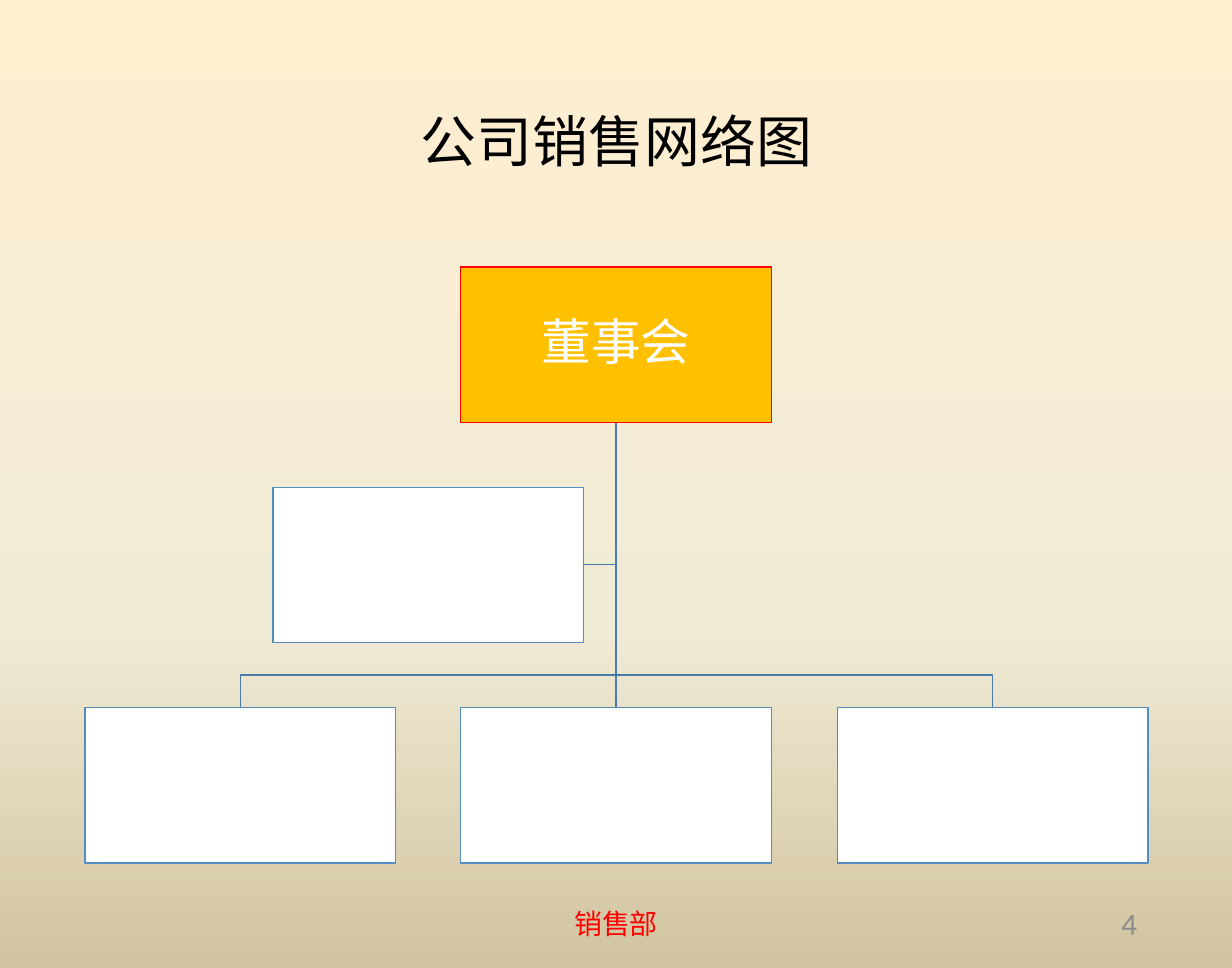
from copy import deepcopy

from lxml import etree
from pptx import Presentation
from pptx.dml.color import RGBColor
from pptx.enum import shapes, text
from pptx.oxml.ns import qn
from pptx.util import Pt

PX = 9144  # 100 px to the inch
CJK = "Noto Sans CJK SC"
BOX_W, BOX_H = 278, 139
LEFT = 76
WHITE, RED = "FFFFFF", "FF0000"


def px(n):
    return n * PX


def rgb(value):
    return RGBColor.from_string(value)


class ChartSlide:
    """The current slide and the style of the organisation chart on it."""

    box_line = "538DC1"
    link_line = "497CAB"
    width = Pt(1)

    def __init__(self, prs):
        self.s = prs.slides.add_slide(prs.slide_layouts[5])

    def background(self, stops):
        """Vertical gradient; stops are (position, colour) pairs."""
        fill = self.s.background.fill
        fill.gradient()
        fill.gradient_angle = 270
        stop_list = next(self.s._element.iter(qn("a:gsLst")))
        while len(stop_list) < len(stops):
            stop_list.append(deepcopy(stop_list[-1]))
        for stop, (position, colour) in zip(fill.gradient_stops, stops):
            stop.position = position
            stop.color.rgb = rgb(colour)

    def set_text(self, sp, words, size, colour, font=CJK,
                 align=text.PP_ALIGN.CENTER, spacing=None):
        tf = sp.text_frame
        tf.text = words
        tf.word_wrap = True
        tf.auto_size = text.MSO_AUTO_SIZE.NONE
        tf.vertical_anchor = text.MSO_ANCHOR.MIDDLE
        p = tf.paragraphs[0]
        p.alignment = align
        p.line_spacing = spacing
        r = p.runs[0]
        r.font.name = font
        etree.SubElement(r.font._element, qn("a:ea"), typeface=CJK)
        r.font.size = Pt(size)
        r.font.color.rgb = rgb(colour)

    def title(self, words, x, y, w, h):
        sp = self.s.shapes.title
        sp.left, sp.top, sp.width, sp.height = map(px, (x, y, w, h))
        self.set_text(sp, words, 36, "000000", spacing=0.9)

    def label(self, words, x, y, w, h, size, colour, **style):
        sp = self.s.shapes.add_textbox(*map(px, (x, y, w, h)))
        self.set_text(sp, words, size, colour, **style)

    def box(self, x, y, fill=WHITE, line=box_line, words=None):
        sp = self.s.shapes.add_shape(
            shapes.MSO_SHAPE.RECTANGLE, *map(px, (x, y, BOX_W, BOX_H)))
        sp.shadow.inherit = False
        sp.fill.solid()
        sp.fill.fore_color.rgb = rgb(fill)
        sp.line.color.rgb = rgb(line)
        sp.line.width = self.width
        if words:
            tf = sp.text_frame
            tf.margin_left = tf.margin_right = px(2)
            tf.margin_top = tf.margin_bottom = px(2)
            self.set_text(sp, words, 32, WHITE, font="Calibri", spacing=0.9)

    def link(self, *points):
        """Straight connector for two points, open outline for more."""
        if len(points) == 2:
            (x1, y1), (x2, y2) = points
            sp = self.s.shapes.add_connector(
                shapes.MSO_CONNECTOR.STRAIGHT, *map(px, (x1, y1, x2, y2)))
            etree.SubElement(sp._element.spPr, qn("a:effectLst"))
        else:
            outline = self.s.shapes.build_freeform(*points[0], scale=PX)
            outline.add_line_segments(points[1:], close=False)
            sp = outline.convert_to_shape()
            sp.shadow.inherit = False
            sp.fill.background()
        sp.line.color.rgb = rgb(self.link_line)
        sp.line.width = self.width


def main():
    prs = Presentation()
    prs.slide_width, prs.slide_height = px(1102), px(866)
    slide = ChartSlide(prs)
    slide.background([(0, "FFEFD1"), (0.65, "F0EBD5"), (1, "D1C39F")])
    slide.title("公司销售网络图", LEFT, 46, 951, 167)

    columns = [LEFT + i * 673 // 2 for i in range(3)]
    board_y, assistant_y, branch_y = 239, 436, 633
    assistant_x = 244
    bus_y = 604
    trunk_x = columns[1] + BOX_W // 2
    start = (trunk_x, board_y + BOX_H)

    assistant_mid = assistant_y + BOX_H // 2
    slide.link(start, (trunk_x, assistant_mid),
               (assistant_x + BOX_W, assistant_mid))
    for x in columns:
        mid = x + BOX_W // 2
        bend = [] if mid == trunk_x else [(trunk_x, bus_y), (mid, bus_y)]
        slide.link(start, *bend, (mid, branch_y))

    slide.box(columns[1], board_y, "FFC000", RED, "董事会")
    for x in columns:
        slide.box(x, branch_y)
    slide.box(assistant_x, assistant_y)

    slide.label("销售部", 365, 803, 372, 46, 18, RED)
    slide.label("4", 779, 803, 248, 46, 20, "8C8C8C", font="Calibri",
                align=text.PP_ALIGN.RIGHT)
    prs.save("out.pptx")


if __name__ == "__main__":
    main()
